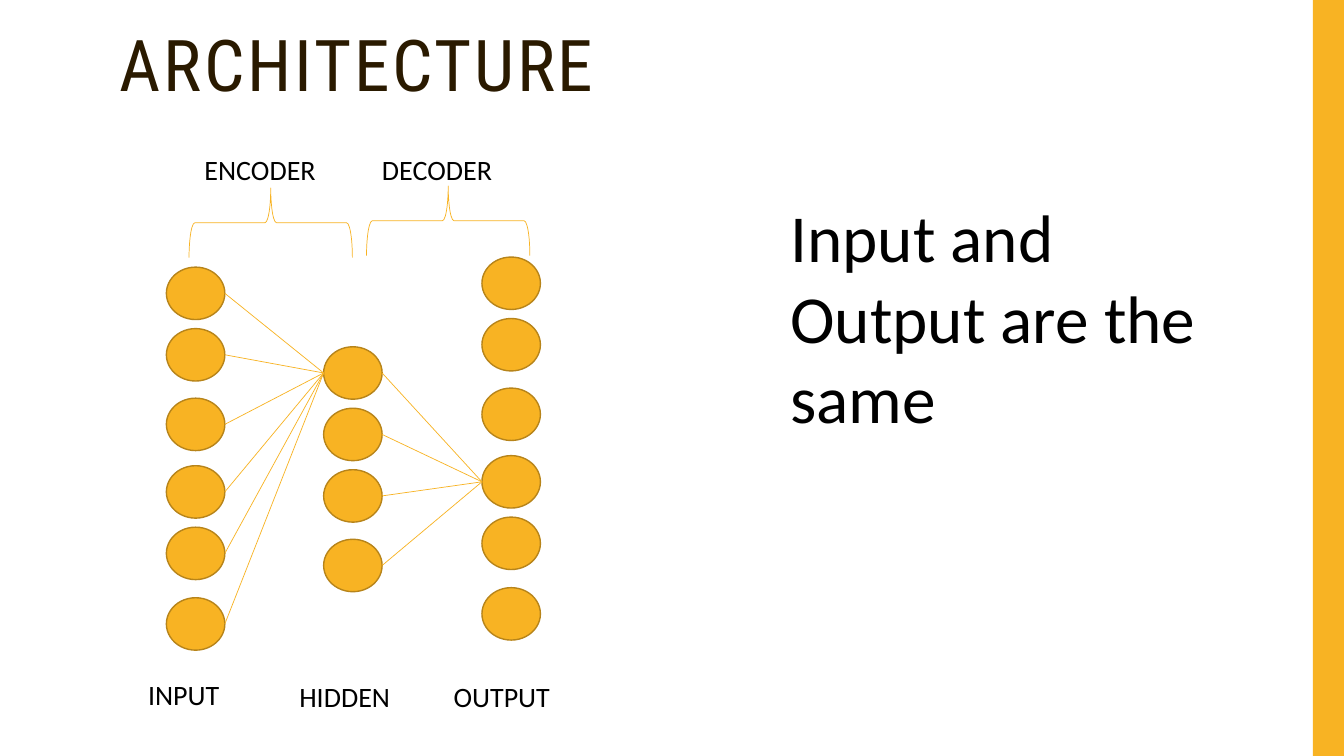
from pptx import Presentation
from pptx import util as u
from pptx.dml.color import RGBColor
from pptx.enum import shapes, text
from pptx.oxml.ns import qn
from lxml import etree

AMBER = RGBColor(0xF8, 0xB3, 0x23)
DARK_AMBER = RGBColor(0xB7, 0x84, 0x1A)
BROWN = RGBColor(0x2A, 0x1A, 0x00)
BLACK = RGBColor(0, 0, 0)

NODE_WIDTH, NODE_HEIGHT = 0.58, 0.52
OUTER_OFFSETS = (0, 0.61, 1.3, 1.97, 2.58, 3.28)
HIDDEN_OFFSETS = (0, 0.61, 1.22, 1.91)


def add_text(slide, box, words, size, font="Calibri", color=BLACK, wrap=True):
    text_box = slide.shapes.add_textbox(*map(u.Inches, box))
    frame = text_box.text_frame
    frame.word_wrap = wrap
    frame.auto_size = text.MSO_AUTO_SIZE.SHAPE_TO_FIT_TEXT
    paragraph = frame.paragraphs[0]
    run = paragraph.add_run()
    run.text = words
    run.font.size = u.Pt(size)
    run.font.name = font
    run.font.color.rgb = color
    return text_box


def add_shape(slide, kind, box, fill=None, line=None, line_width=1):
    shape = slide.shapes.add_shape(kind, *map(u.Inches, box))
    shape.shadow.inherit = False
    if fill is None:
        shape.fill.background()
    else:
        shape.fill.solid()
        shape.fill.fore_color.rgb = fill
    if line is None:
        shape.line.fill.background()
    else:
        shape.line.color.rgb = line
        shape.line.width = u.Pt(line_width)
    return shape


def add_title(slide, box):
    title = add_text(slide, box, "ARCHITECTURE", 51, "Roboto Condensed", BROWN)
    frame = title.text_frame
    frame.auto_size = text.MSO_AUTO_SIZE.NONE
    frame.margin_top = u.Inches(0.09)
    paragraph = frame.paragraphs[0]
    paragraph.line_spacing = 0.9
    paragraph.runs[0].font._element.set("spc", "200")


def add_layer(slide, left, top, offsets):
    """Draw a column of nodes and return the vertical centre of each."""
    for offset in offsets:
        add_shape(slide, shapes.MSO_SHAPE.OVAL,
                  (left, top + offset, NODE_WIDTH, NODE_HEIGHT), AMBER, DARK_AMBER)
    return [top + offset + NODE_HEIGHT / 2 for offset in offsets]


def add_links(slide, start_x, start_ys, end_x, end_y):
    for start_y in start_ys:
        link = slide.shapes.add_connector(
            shapes.MSO_CONNECTOR.STRAIGHT,
            *map(u.Inches, (start_x, start_y, end_x, end_y)))
        link.line.color.rgb = AMBER
        link.line.width = u.Pt(0.5)
        etree.SubElement(link._element.spPr, qn("a:effectLst"))


def add_stage(slide, left, brace_top, words):
    """Draw a stage name above an upward-pointing brace."""
    brace = add_shape(slide, shapes.MSO_SHAPE.LEFT_BRACE,
                      (left + 0.41, brace_top, 0.69, 1.62), line=AMBER, line_width=0.5)
    brace.rotation = 90
    add_text(slide, (left, 1.46, 1.5, 0.44), words, 20, wrap=False)


def add_network(slide, left, top):
    hidden_left, output_left = left + 1.56, left + 3.13
    input_ys = add_layer(slide, left, top + 0.1, OUTER_OFFSETS)
    hidden_ys = add_layer(slide, hidden_left, top + 0.89, HIDDEN_OFFSETS)
    output_ys = add_layer(slide, output_left, top, OUTER_OFFSETS)
    add_links(slide, left + NODE_WIDTH, input_ys, hidden_left, hidden_ys[0])
    add_links(slide, hidden_left + NODE_WIDTH, hidden_ys, output_left, output_ys[3])

    for dx, dy, width, words in ((-0.28, 4.12, 1, "INPUT"),
                                 (1.22, 4.14, 1.26, "HIDDEN"),
                                 (2.75, 4.14, 1.31, "OUTPUT")):
        add_text(slide, (left + dx, top + dy, width, 0.44), words, 20, wrap=False)

    add_stage(slide, left + 0.28, 1.4, "ENCODER")
    add_stage(slide, left + 2.04, 1.38, "DECODER")


def main():
    presentation = Presentation()
    presentation.slide_width = u.Inches(13.33)
    presentation.slide_height = u.Inches(7.5)
    slide = presentation.slides.add_slide(presentation.slide_layouts[6])
    add_shape(slide, shapes.MSO_SHAPE.RECTANGLE, (13.02, 0, 0.31, 7.5), AMBER)
    add_title(slide, (1.09, 0.21, 10.27, 1.04))
    add_network(slide, 1.65, 2.55)
    add_text(slide, (7.74, 1.89, 4.22, 2.52), "Input and Output are the same", 48)
    presentation.save("out.pptx")


if __name__ == "__main__":
    main()
